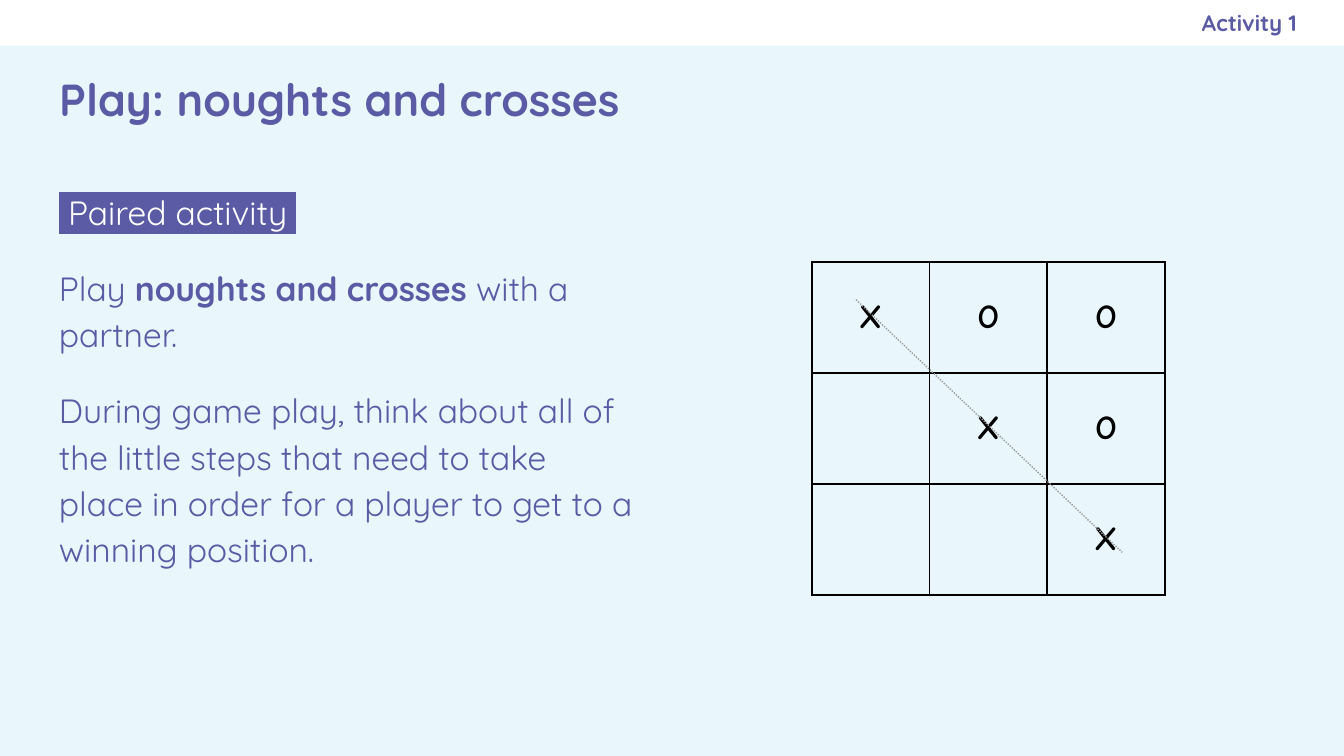
from lxml.etree import SubElement
from pptx import Presentation
from pptx.dml.color import RGBColor
from pptx.enum.dml import MSO_LINE
from pptx.enum.shapes import MSO_CONNECTOR, MSO_SHAPE
from pptx.enum.text import MSO_ANCHOR, MSO_AUTO_SIZE, PP_ALIGN
from pptx.oxml.ns import qn
from pptx.util import Pt

PURPLE = RGBColor(0x5B, 0x5B, 0xA5)
PALE = RGBColor(0xE9, 0xF7, 0xFC)
WHITE = RGBColor(0xFF, 0xFF, 0xFF)
BLACK = RGBColor(0, 0, 0)
GREY = RGBColor(0x99, 0x99, 0x99)
FONT = "Quicksand"
GAME = ["XOO", " XO", "  X"]


def add_run(para, text, size, color=PURPLE, bold=False, font=FONT, mark=None):
    run = para.add_run()
    run.text = text
    run.font.color.rgb = color
    if mark is not None:
        light = SubElement(run.font._element, qn("a:highlight"))
        SubElement(light, qn("a:srgbClr"), val=str(mark))
    run.font.name = font
    run.font.size = Pt(size)
    run.font.bold = bold


def set_frame(shape, anchor, right=7.2):
    frame = shape.text_frame
    frame.word_wrap = True
    frame.auto_size = MSO_AUTO_SIZE.NONE
    frame.vertical_anchor = anchor
    frame.margin_left = frame.margin_top = frame.margin_bottom = Pt(7.2)
    frame.margin_right = Pt(right)
    return frame


def add_band(slide, left, top, width, height):
    # White strip with the activity label at its right end
    band = slide.shapes.add_shape(
        MSO_SHAPE.RECTANGLE, Pt(left), Pt(top), Pt(width), Pt(height))
    band.shadow.inherit = False
    band.fill.solid()
    band.fill.fore_color.rgb = WHITE
    band.line.fill.background()
    label = slide.shapes.add_textbox(
        Pt(left + 414), Pt(top), Pt(width - 439.2), Pt(height))
    para = set_frame(label, MSO_ANCHOR.MIDDLE, right=0).paragraphs[0]
    para.alignment = PP_ALIGN.RIGHT
    add_run(para, "Activity 1", 12, bold=True)


def set_title(slide, left, top, width, height):
    title = slide.shapes.title
    title.left, title.top = Pt(left), Pt(top)
    title.width, title.height = Pt(width), Pt(height)
    para = set_frame(title, MSO_ANCHOR.MIDDLE).paragraphs[0]
    para.alignment = PP_ALIGN.LEFT
    add_run(para, "Play: noughts and crosses", 24, bold=True)


def add_task(slide, left, top, width, height):
    box = slide.shapes.add_textbox(Pt(left), Pt(top), Pt(width), Pt(height))
    frame = set_frame(box, MSO_ANCHOR.TOP)
    # Each paragraph is a list of runs: text and format
    paras = [
        [(" Paired activity ", {"color": WHITE, "mark": PURPLE})],
        [("Play ", {}), ("noughts and crosses", {"bold": True}),
         (" with a partner.", {})],
        [("During game play, think about all of the little steps that need "
          "to take place in order for a player to get to a winning position.",
          {})],
    ]
    for i, runs in enumerate(paras):
        para = frame.add_paragraph() if i else frame.paragraphs[0]
        para.line_spacing = 1.15
        if i:
            para.space_before = Pt(16)
        for text, style in runs:
            add_run(para, text, 18, **style)


def add_border(cell):
    props = cell._tc.get_or_add_tcPr()
    for side in ("lnL", "lnR", "lnT", "lnB"):
        line = SubElement(props, qn("a:" + side), w=str(Pt(1)))
        fill = SubElement(line, qn("a:solidFill"))
        SubElement(fill, qn("a:srgbClr"), val=str(BLACK))


def add_board(slide, left, top, width, height):
    count = len(GAME)
    table = slide.shapes.add_table(
        count, count, Pt(left), Pt(top), Pt(width), Pt(height)).table
    table.first_row = table.horz_banding = False
    for i, marks in enumerate(GAME):
        table.rows[i].height = Pt(height / count)
        table.columns[i].width = Pt(width / count)
        for j, mark in enumerate(marks):
            cell = table.cell(i, j)
            add_border(cell)
            cell.fill.background()
            cell.vertical_anchor = MSO_ANCHOR.MIDDLE
            cell.margin_left = cell.margin_right = Pt(5)
            cell.margin_top = cell.margin_bottom = Pt(5)
            if mark != " ":
                para = cell.text_frame.paragraphs[0]
                para.alignment = PP_ALIGN.CENTER
                add_run(para, mark, 18, BLACK, True, "Comic Neue")
    # Dotted line through the winning crosses
    line = slide.shapes.add_connector(
        MSO_CONNECTOR.STRAIGHT, Pt(left + 23.6), Pt(top + 20.2),
        Pt(left + 166.2), Pt(top + 155.5))
    line.line.color.rgb = GREY
    line.line.width = Pt(0.75)
    line.line.dash_style = MSO_LINE.ROUND_DOT
    SubElement(line._element.spPr, qn("a:effectLst"))


def main():
    deck = Presentation()
    deck.slide_width, deck.slide_height = Pt(720), Pt(405)
    slide = deck.slides.add_slide(deck.slide_layouts[5])
    slide.background.fill.solid()
    slide.background.fill.fore_color.rgb = PALE
    add_band(slide, 0, 0, 720, 24.5)
    set_title(slide, 24.5, 25.2, 671, 54.7)
    add_task(slide, 24.5, 92.2, 322.6, 288)
    add_board(slide, 435, 140.4, 189, 178.5)
    deck.save("out.pptx")


if __name__ == "__main__":
    main()
